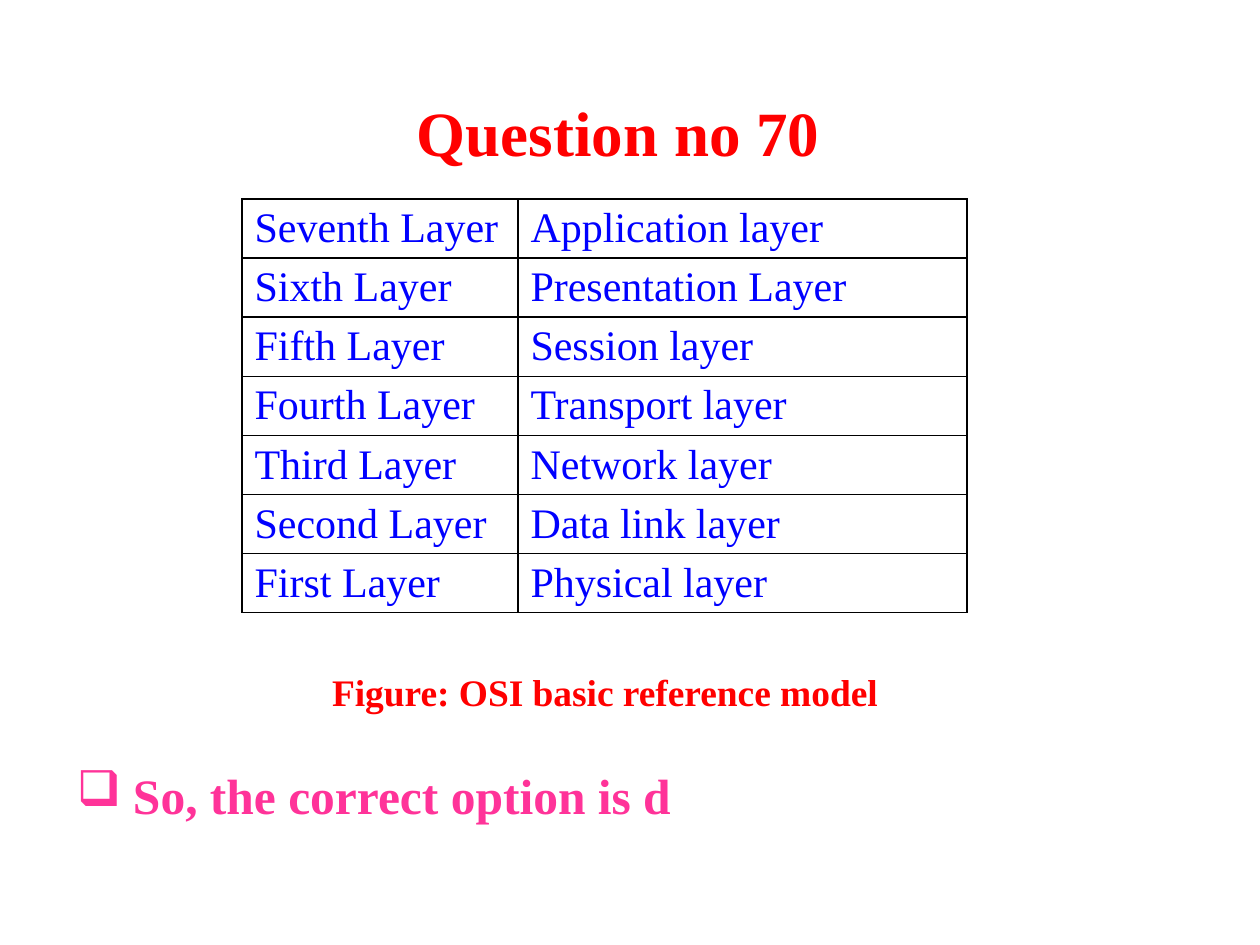
from dataclasses import dataclass
from typing import Any

from lxml.etree import SubElement
from pptx import Presentation
from pptx.dml.color import RGBColor
from pptx.enum.text import MSO_ANCHOR
from pptx.oxml.ns import qn
from pptx.util import Emu, Pt

PIXEL = 914400 // 126
FONT = "Times New Roman"
RED, BLUE, PINK, BLACK = "FF0000", "0000FF", "FF3399", "000000"


@dataclass(frozen=True)
class Line:
    text: str
    left: int
    top: int
    width: int
    height: int
    size: float
    color: str
    bullet: str = ""


LINES = [
    Line("Question no 70", 417, 96, 480, 70, 36, RED),
    Line("Figure: OSI basic reference model", 332, 671, 640, 42, 21.4, RED),
    Line("So, the correct option is d", 77, 767, 900, 56, 28.3, PINK, "❑"),
]
LAYERS = [
    ("Seventh Layer", "Application layer"),
    ("Sixth Layer", "Presentation Layer"),
    ("Fifth Layer", "Session layer"),
    ("Fourth Layer", "Transport layer"),
    ("Third Layer", "Network layer"),
    ("Second Layer", "Data link layer"),
    ("First Layer", "Physical layer"),
]
TABLE_LEFT, TABLE_TOP, ROW_HEIGHT = 242, 199, 59
COLUMN_WIDTHS = (276, 449)
BULLET_INDENT = 56


def px(value: int) -> Emu:
    return Emu(value * PIXEL)


def rgb(value: str) -> RGBColor:
    return RGBColor.from_string(value)


def style(para: Any, size: float, color: str, bold: bool) -> None:
    para.font.name = FONT
    para.font.size = Pt(size)
    para.font.bold = bold
    para.font.color.rgb = rgb(color)


def add_bullet(para: Any, character: str) -> None:
    properties = para._p.get_or_add_pPr()
    properties.set("marL", str(px(BULLET_INDENT)))
    properties.set("indent", str(-px(BULLET_INDENT)))
    bullet = properties.makeelement(qn("a:buChar"), {"char": character})
    properties.insert(0, bullet)


def add_line(page: Any, line: Line) -> None:
    box = page.shapes.add_textbox(
        px(line.left), px(line.top), px(line.width), px(line.height)
    )
    frame = box.text_frame
    frame.word_wrap = True
    frame.vertical_anchor = MSO_ANCHOR.MIDDLE
    frame.margin_left = frame.margin_right = 0
    frame.margin_top = frame.margin_bottom = 0
    para = frame.paragraphs[0]
    para.text = line.text
    if line.bullet:
        add_bullet(para, line.bullet)
    style(para, line.size, line.color, True)


def add_borders(cell: Any) -> None:
    properties = cell._tc.get_or_add_tcPr()
    for position, side in enumerate(("lnL", "lnR", "lnT", "lnB")):
        border = properties.makeelement(qn(f"a:{side}"), {"w": str(Pt(1))})
        fill = SubElement(border, qn("a:solidFill"))
        SubElement(fill, qn("a:srgbClr"), {"val": BLACK})
        properties.insert(position, border)


def add_layer_table(page: Any) -> None:
    table = page.shapes.add_table(
        len(LAYERS), len(COLUMN_WIDTHS), px(TABLE_LEFT), px(TABLE_TOP),
        px(sum(COLUMN_WIDTHS)), px(ROW_HEIGHT * len(LAYERS)),
    ).table
    table.first_row = False
    table.horz_banding = False
    for column, width in zip(table.columns, COLUMN_WIDTHS):
        column.width = px(width)
    for row, texts in zip(table.rows, LAYERS):
        row.height = px(ROW_HEIGHT)
        for cell, text in zip(row.cells, texts):
            cell.text = text
            cell.fill.background()
            style(cell.text_frame.paragraphs[0], 24, BLUE, False)
            add_borders(cell)


deck = Presentation()
deck.slide_width, deck.slide_height = px(1260), px(945)
page = deck.slides.add_slide(deck.slide_layouts[6])
add_layer_table(page)
for line in LINES:
    add_line(page, line)
deck.save("out.pptx")
